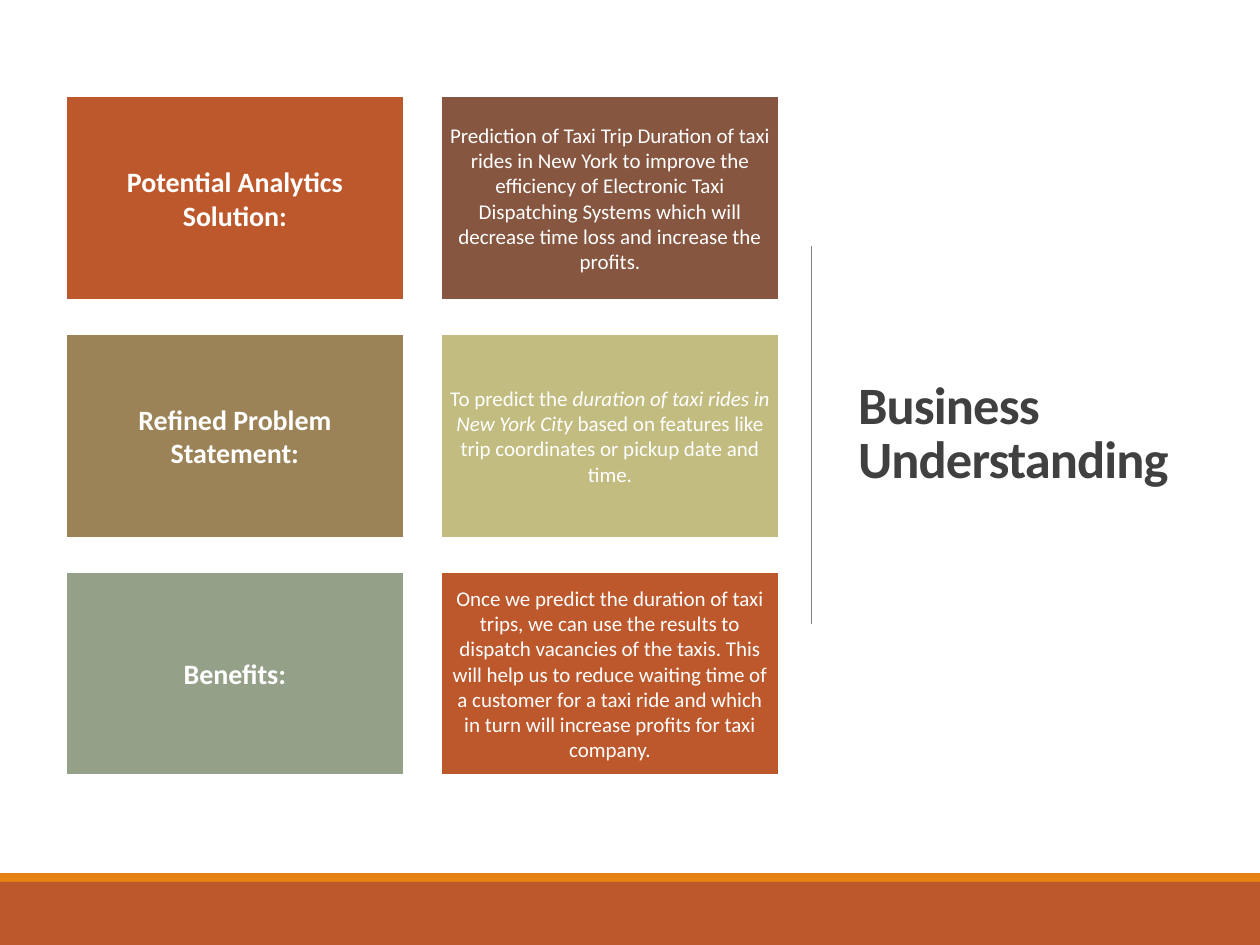
import lxml.etree
import pptx
import pptx.dml.color
import pptx.enum.shapes
import pptx.enum.text
import pptx.oxml.ns
import pptx.util

Pt = pptx.util.Pt
RGBColor = pptx.dml.color.RGBColor

WHITE = RGBColor(0xFF, 0xFF, 0xFF)
CHARCOAL = RGBColor(0x40, 0x40, 0x40)
GRAY = RGBColor(0x80, 0x80, 0x80)
ORANGE = RGBColor(0xE4, 0x83, 0x12)
RUST = RGBColor(0xBD, 0x58, 0x2C)
BROWN = RGBColor(0x86, 0x56, 0x40)
TAN = RGBColor(0x9B, 0x83, 0x57)
KHAKI = RGBColor(0xC2, 0xBC, 0x80)
SAGE = RGBColor(0x94, 0xA0, 0x88)
FONT = "Calibri"

ROWS = [
    ("Potential Analytics Solution:", RUST, BROWN,
     [("Prediction of Taxi Trip Duration of taxi rides in New York to improve the "
       "efficiency of Electronic Taxi Dispatching Systems which will decrease time "
       "loss and increase the profits.", False)]),
    ("Refined Problem Statement:", TAN, KHAKI,
     [("To predict the ", False),
      ("duration of taxi rides in New York City ", True),
      ("based on features like trip coordinates or pickup date and time.", False)]),
    ("Benefits:", SAGE, RUST,
     [("Once we predict the duration of taxi trips, we can use the results to "
       "dispatch vacancies of the taxis. This will help us to reduce waiting time of "
       "a customer for a taxi ride and which in turn will increase profits for taxi "
       "company.", False)]),
]


def add_run(paragraph, text, size, color=WHITE, bold=False, italic=False):
    """Append formatted text to a paragraph and return the run."""
    run = paragraph.add_run()
    run.text = text
    run.font.name = FONT
    run.font.size = Pt(size)
    run.font.bold = bold
    run.font.italic = italic
    run.font.color.rgb = color
    return run


def add_rectangle(slide, left, top, width, height, fill):
    """Add a flat rectangle without outline or shadow."""
    shape = slide.shapes.add_shape(
        pptx.enum.shapes.MSO_SHAPE.RECTANGLE, Pt(left), Pt(top), Pt(width), Pt(height))
    shape.shadow.inherit = False
    shape.fill.solid()
    shape.fill.fore_color.rgb = fill
    shape.line.fill.background()
    return shape


def add_card(slide, box, fill, parts, size, inset, bold=False):
    """Add a white-edged card holding centred (text, italic) parts."""
    shape = add_rectangle(slide, *box, fill)
    shape.line.color.rgb = WHITE
    shape.line.width = Pt(1.25)
    frame = shape.text_frame
    frame.word_wrap = True
    frame.vertical_anchor = pptx.enum.text.MSO_ANCHOR.MIDDLE
    frame.margin_left = frame.margin_right = Pt(inset)
    frame.margin_top = frame.margin_bottom = Pt(inset)
    paragraph = frame.paragraphs[0]
    paragraph.alignment = pptx.enum.text.PP_ALIGN.CENTER
    for text, italic in parts:
        add_run(paragraph, text, size, bold=bold, italic=italic)


def add_card_grid(slide, left, top, width, height, gap_x=21.4, gap_y=19.4):
    """Fill a box with rows of heading and description cards."""
    card_width = (width - gap_x) / 2
    card_height = (height - gap_y * (len(ROWS) - 1)) / len(ROWS)
    for index, (heading, heading_fill, detail_fill, parts) in enumerate(ROWS):
        y = top + index * (card_height + gap_y)
        add_card(slide, (left, y, card_width, card_height), heading_fill,
                 [(heading, False)], size=16, inset=4.8, bold=True)
        add_card(slide, (left + card_width + gap_x, y, card_width, card_height),
                 detail_fill, parts, size=12, inset=3.6)


def add_title(slide, left, top, width, height):
    """Place the title with a vertical rule on its left."""
    title = slide.shapes.title
    title.left, title.top = Pt(left), Pt(top)
    title.width, title.height = Pt(width), Pt(height)
    frame = title.text_frame
    frame.word_wrap = True
    frame.auto_size = pptx.enum.text.MSO_AUTO_SIZE.NONE
    frame.vertical_anchor = pptx.enum.text.MSO_ANCHOR.MIDDLE
    paragraph = frame.paragraphs[0]
    paragraph.alignment = pptx.enum.text.PP_ALIGN.LEFT
    paragraph.line_spacing = 0.85
    run = add_run(paragraph, "Business Understanding", 30, CHARCOAL, bold=True)
    run.font._element.set("spc", "-50")

    rule_x, middle, half = left - 19.4, top + height / 2, 108
    rule = slide.shapes.add_connector(
        pptx.enum.shapes.MSO_CONNECTOR.STRAIGHT,
        Pt(rule_x), Pt(middle - half), Pt(rule_x), Pt(middle + half))
    rule.line.color.rgb = GRAY
    rule.line.width = Pt(0.5)
    lxml.etree.SubElement(rule._element.spPr, pptx.oxml.ns.qn("a:effectLst"))


def add_footer(slide, left, top, width, height, accent=5):
    """Draw the footer band with its thin accent strip on top."""
    add_rectangle(slide, left, top, width, accent, ORANGE)
    add_rectangle(slide, left, top + accent, width, height - accent, RUST)


def main():
    """Build the slide and save it."""
    presentation = pptx.Presentation()
    presentation.slide_width = Pt(720)
    presentation.slide_height = Pt(540)
    slide = presentation.slides.add_slide(presentation.slide_layouts[5])
    add_title(slide, 483.1, 49.7, 199.4, 398.2)
    add_footer(slide, 0, 499, 720, 41)
    add_card_grid(slide, 37.8, 55, 407.2, 388.2)
    presentation.save("out.pptx")


if __name__ == "__main__":
    main()
